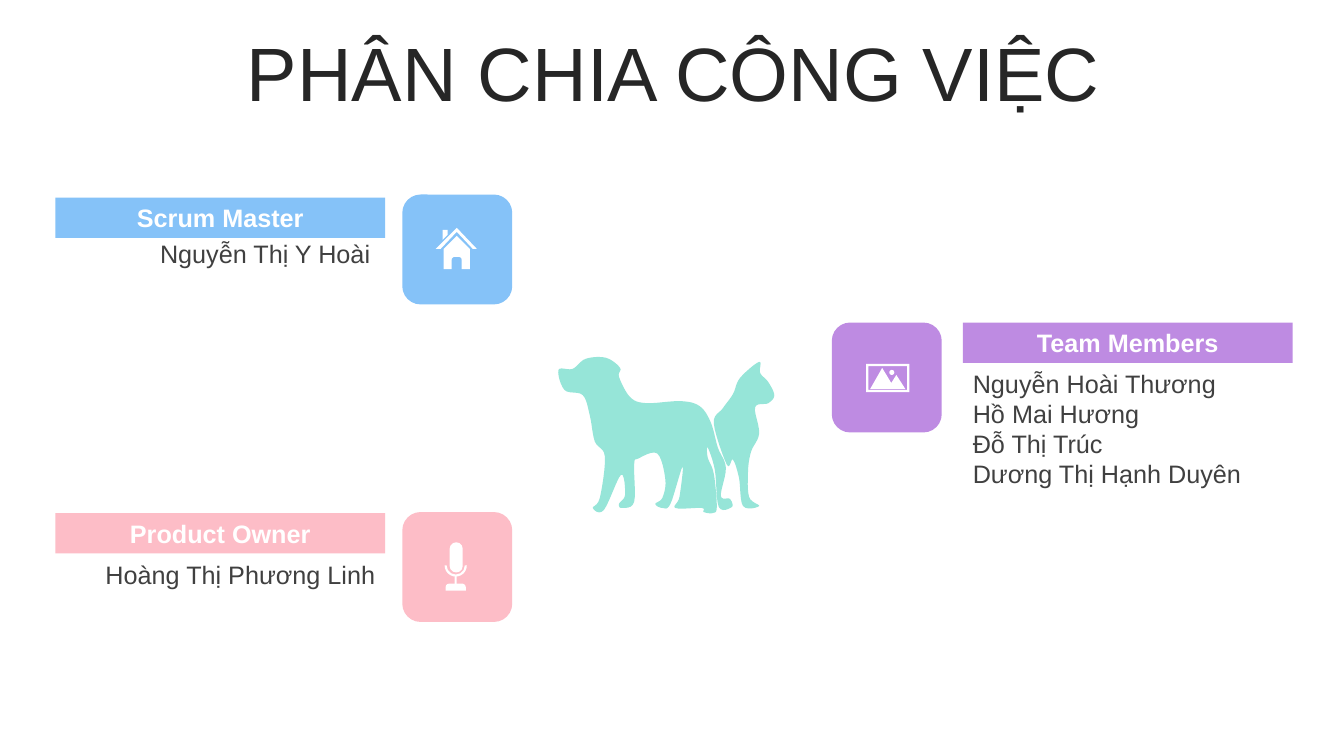
from pptx import Presentation
from pptx.dml.color import RGBColor
from pptx.enum.shapes import MSO_SHAPE
from pptx.enum.text import MSO_ANCHOR, PP_ALIGN
from pptx.util import Inches, Pt

FONT = "Arial"
WHITE, TITLE_INK, NAME_INK = "FFFFFF", "262626", "404040"
BLUE, PINK, PURPLE, MINT = "85C2F8", "FDBDC7", "BE8BE2", "96E5D8"

TITLE = "PHÂN CHIA CÔNG VIỆC"
LABEL_SIZE = (3.27, 0.4)
TILE_SIZE = (1.09, 1.09)

ROLES = [
    {"role": "Scrum Master", "color": BLUE, "label": (0.55, 1.96), "tile": (3.99, 1.93),
     "names": ["Nguyễn Thị Y Hoài"], "box": (0.86, 2.32, 2.91, 0.4), "align": PP_ALIGN.RIGHT},
    {"role": "Product Owner", "color": PINK, "label": (0.55, 5.09), "tile": (3.99, 5.08),
     "names": ["Hoàng Thị Phương Linh"], "box": (0.91, 5.5, 2.91, 0.4), "align": PP_ALIGN.RIGHT},
    {"role": "Team Members", "color": PURPLE, "label": (9.55, 3.2), "tile": (8.25, 3.2),
     "names": ["Nguyễn Hoài Thương", "Hồ Mai Hương", "Đỗ Thị Trúc", "Dương Thị Hạnh Duyên"],
     "box": (9.55, 3.6, 3.08, 1.31), "align": PP_ALIGN.LEFT},
]

ROOF = [(4.53, 2.26), (4.73, 2.47), (4.69, 2.47), (4.53, 2.3), (4.37, 2.47), (4.32, 2.47)]
WALLS = [(4.53, 2.34), (4.66, 2.47), (4.66, 2.67), (4.4, 2.67), (4.4, 2.47)]
CHIMNEY = [(4.39, 2.28), (4.44, 2.28), (4.44, 2.33), (4.39, 2.38)]
MOUNTAINS = [(8.75, 3.65), (8.84, 3.8), (8.89, 3.72), (8.98, 3.86), (8.63, 3.86)]
DOG = [
    (5.54, 3.67), (5.68, 3.66), (5.81, 3.56), (6.01, 3.55), (6.15, 3.65), (6.14, 3.74),
    (6.25, 3.94), (6.41, 4), (6.75, 3.98), (6.94, 4.03), (7.05, 4.19), (7.12, 4.44),
    (7.2, 4.64), (7.15, 4.92), (7.24, 4.95), (7.26, 5.03), (7.13, 5.03), (7.09, 4.66),
    (7.02, 4.44), (7.02, 4.54), (7.08, 4.7), (7.11, 5.03), (7.07, 5.09), (6.98, 5.08),
    (6.96, 5.04), (6.7, 5.04), (6.74, 4.93), (6.77, 4.63), (6.65, 5), (6.57, 5.04),
    (6.5, 5), (6.57, 4.94), (6.6, 4.76), (6.52, 4.5), (6.33, 4.55), (6.29, 4.61),
    (6.29, 4.98), (6.17, 5.04), (6.14, 5), (6.2, 4.91), (6.16, 4.71), (5.99, 5.06),
    (5.88, 5.04), (5.95, 4.94), (6, 4.53), (5.9, 4.38), (5.85, 4.12), (5.78, 3.92),
    (5.6, 3.87),
]
CAT = [
    (7.53, 3.59), (7.54, 3.7), (7.62, 3.79), (7.68, 3.92), (7.62, 4), (7.49, 4.04),
    (7.53, 4.3), (7.45, 4.48), (7.42, 4.67), (7.43, 4.93), (7.53, 5.02), (7.37, 5.02),
    (7.33, 4.74), (7.27, 4.56), (7.21, 4.61), (7.08, 4.2), (7.17, 4.05), (7.27, 3.91),
    (7.34, 3.75),
]

ICON_PARTS = [
    (MSO_SHAPE.ROUND_2_SAME_RECTANGLE, (4.48, 2.55, 0.1, 0.13), BLUE, [0.3]),
    (MSO_SHAPE.ROUNDED_RECTANGLE, (4.46, 5.38, 0.13, 0.3), WHITE, [0.5]),
    (MSO_SHAPE.BLOCK_ARC, (4.41, 5.5, 0.22, 0.22), WHITE, [0, 108, 0.09]),
    (MSO_SHAPE.RECTANGLE, (4.51, 5.71, 0.02, 0.09), WHITE, []),
    (MSO_SHAPE.ROUND_2_SAME_RECTANGLE, (4.42, 5.79, 0.2, 0.07), WHITE, [0.5]),
    (MSO_SHAPE.FRAME, (8.59, 3.61, 0.43, 0.28), WHITE, [0.08]),
    (MSO_SHAPE.OVAL, (8.82, 3.67, 0.05, 0.05), WHITE, []),
]
CURVE_STEPS = 6


def rgb(color):
    return RGBColor.from_string(color)


def paint(shape, color):
    shape.shadow.inherit = False
    shape.fill.solid()
    shape.fill.fore_color.rgb = rgb(color)
    shape.line.fill.background()


def add_preset(slide, kind, box, color, adjustments=()):
    shape = slide.shapes.add_shape(kind, *map(Inches, box))
    paint(shape, color)
    for index, value in enumerate(adjustments):
        shape.adjustments[index] = value
    return shape


def spline(before, start, end, after, t):
    return 0.5 * (2 * start + (end - before) * t
                  + (2 * before - 5 * start + 4 * end - after) * t ** 2
                  + (3 * start - before - 3 * end + after) * t ** 3)


def smooth(points):
    count = len(points)
    curve = []
    for index in range(count):
        corners = [points[(index + offset) % count] for offset in (-1, 0, 1, 2)]
        for step in range(CURVE_STEPS):
            curve.append(tuple(spline(*axis, step / CURVE_STEPS) for axis in zip(*corners)))
    return curve


def add_outline(slide, points, color):
    start, *rest = [(Inches(x), Inches(y)) for x, y in points]
    builder = slide.shapes.build_freeform(*start, scale=1.0)
    builder.add_line_segments(rest, close=True)
    paint(builder.convert_to_shape(), color)


def write(shape, lines, size, color, align, bold=False):
    frame = shape.text_frame
    frame.text = "\n".join(lines)
    for paragraph in frame.paragraphs:
        paragraph.alignment = align
        paragraph.font.name = FONT
        paragraph.font.size = Pt(size)
        paragraph.font.bold = bold
        paragraph.font.color.rgb = rgb(color)
    return frame


def add_text(slide, box, lines, size, color, align):
    frame = write(slide.shapes.add_textbox(*map(Inches, box)), lines, size, color, align)
    frame.word_wrap = True
    return frame


def main():
    presentation = Presentation()
    presentation.slide_width, presentation.slide_height = Inches(13.33), Inches(7.5)
    slide = presentation.slides.add_slide(presentation.slide_layouts[6])

    title = add_text(slide, (0.35, 0.37, 12.66, 0.79), [TITLE], 54, TITLE_INK, PP_ALIGN.CENTER)
    title.vertical_anchor = MSO_ANCHOR.MIDDLE
    title.paragraphs[0].line_spacing = 0.9

    for role in ROLES:
        add_preset(slide, MSO_SHAPE.ROUNDED_RECTANGLE, role["tile"] + TILE_SIZE, role["color"])
        add_text(slide, role["box"], role["names"], 18, NAME_INK, role["align"])
        label = add_preset(slide, MSO_SHAPE.RECTANGLE, role["label"] + LABEL_SIZE, role["color"])
        frame = write(label, [role["role"]], 18, WHITE, PP_ALIGN.CENTER, bold=True)
        frame.word_wrap = False
        frame.vertical_anchor = MSO_ANCHOR.MIDDLE

    for points in (ROOF, WALLS, CHIMNEY, MOUNTAINS):
        add_outline(slide, points, WHITE)
    for part in ICON_PARTS:
        add_preset(slide, *part)
    for animal in (DOG, CAT):
        add_outline(slide, smooth(animal), MINT)

    presentation.save("out.pptx")


if __name__ == "__main__":
    main()
